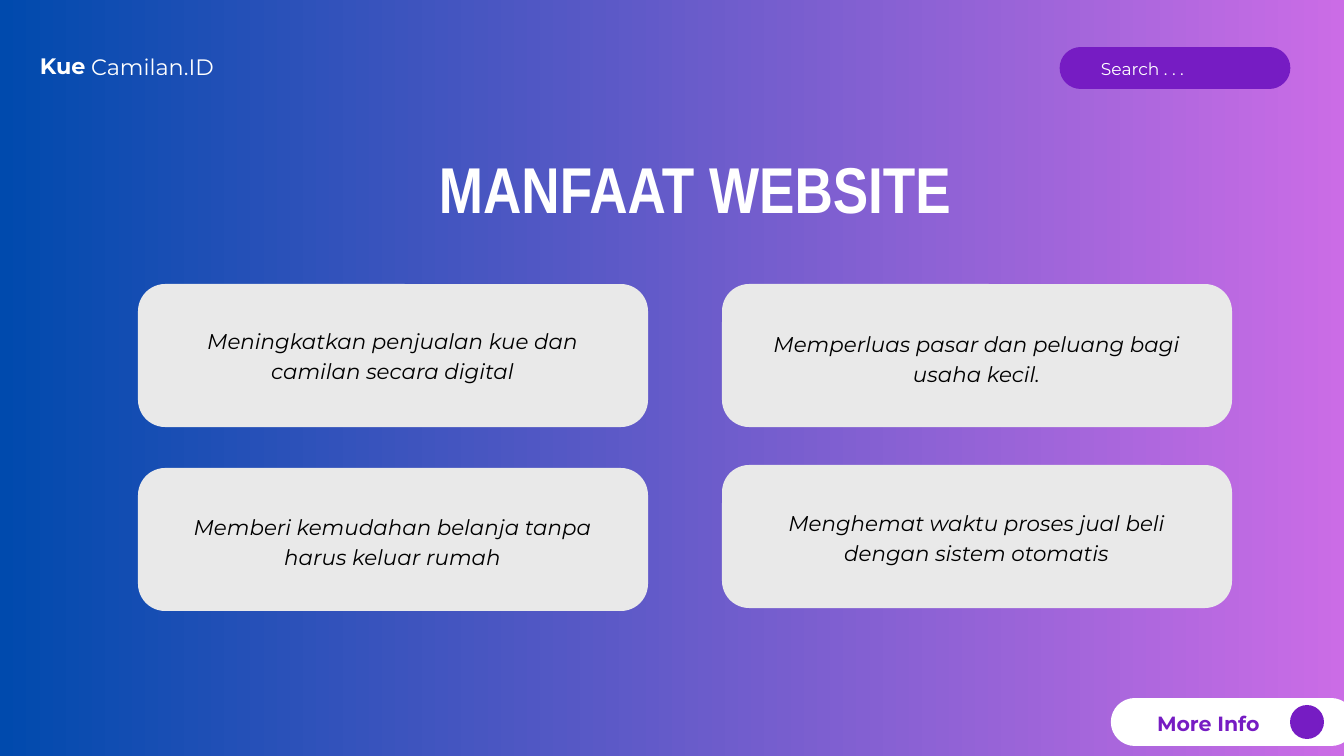
from lxml.etree import SubElement
from pptx import Presentation
from pptx.dml.color import RGBColor
from pptx.enum.shapes import MSO_CONNECTOR, MSO_SHAPE
from pptx.enum.text import MSO_ANCHOR, MSO_AUTO_SIZE, PP_ALIGN
from pptx.oxml.ns import qn
from pptx.util import Emu, Pt

SCALE = 914400 / 67.2
COLOURS = {
    "blue": "004AAD",
    "pink": "CB6CE6",
    "purple": "761CC3",
    "card": "E9E9E9",
    "white": "FFFFFF",
    "black": "000000",
}
LEFT, RIGHT = 138, 722
BENEFITS = [
    (RIGHT, 284, 43, "Memperluas pasar dan peluang bagi usaha kecil."),
    (RIGHT, 465, 41, "Menghemat waktu proses jual beli dengan sistem otomatis"),
    (LEFT, 284, 40, "Meningkatkan penjualan kue dan camilan secara digital"),
    (LEFT, 468, 42, "Memberi kemudahan belanja tanpa harus keluar rumah"),
]


def px(length):
    return Emu(round(length * SCALE))


def colour(name):
    return RGBColor.from_string(COLOURS[name])


def write(holder, text, size, leading, font="Montserrat", ink="white",
          bold=False, italic=False, align=PP_ALIGN.LEFT):
    frame = holder.text_frame
    frame.word_wrap = True
    frame.auto_size = MSO_AUTO_SIZE.NONE
    frame.vertical_anchor = MSO_ANCHOR.TOP
    frame.margin_left = frame.margin_right = 0
    frame.margin_top = frame.margin_bottom = 0
    paragraph = frame.paragraphs[0]
    paragraph.alignment = align
    paragraph.line_spacing = Pt(leading)
    paragraph.space_before = Pt(0)
    run = paragraph.add_run()
    run.text = text
    run.font.name = font
    run.font.size = Pt(size)
    run.font.bold = bold
    run.font.italic = italic
    run.font.color.rgb = colour(ink)


def add_text(slide, left, top, width, height, text, **style):
    box = slide.shapes.add_textbox(px(left), px(top), px(width), px(height))
    write(box, text, **style)


def add_solid(slide, preset, left, top, width, height, fill):
    solid = slide.shapes.add_shape(preset, px(left), px(top), px(width), px(height))
    solid.shadow.inherit = False
    solid.fill.solid()
    solid.fill.fore_color.rgb = colour(fill)
    solid.line.fill.background()
    return solid


def add_pill(slide, left, middle, width, thickness, fill):
    pill = slide.shapes.add_connector(
        MSO_CONNECTOR.STRAIGHT, px(left), px(middle), px(left + width), px(middle))
    pill.line.color.rgb = colour(fill)
    pill.line.width = Pt(thickness)
    pill.line._get_or_add_ln().set("cap", "rnd")
    SubElement(pill._element.spPr, qn("a:effectLst"))


def paint_background(slide):
    fill = slide.background.fill
    fill.gradient()
    fill.gradient_angle = 0
    for stop, name, position in zip(fill.gradient_stops, ("blue", "pink"), (0, 1)):
        stop.color.rgb = colour(name)
        stop.position = position


def add_search(slide, left, top):
    add_pill(slide, left, top + 21, 188, 45.75, "purple")
    add_text(slide, left + 20, top + 11, 140, 20, "Search . . .", size=18.3, leading=21.9)


def add_site_name(slide, left, top):
    add_text(slide, left, top, 98, 60, "Kue", size=23.9, leading=33.5, bold=True)
    add_text(slide, left + 51, top + 1, 152, 29, "Camilan.ID", size=23.9, leading=33.5)


def set_title(slide, left, top, width, height):
    title = slide.shapes.title
    title.left, title.top = px(left), px(top)
    title.width, title.height = px(width), px(height)
    write(title, "MANFAAT WEBSITE", size=69.4, leading=76.3, font="Arial Narrow",
          bold=True, align=PP_ALIGN.CENTER)


def add_benefit(slide, left, top, text_drop, text):
    card = add_solid(slide, MSO_SHAPE.ROUNDED_RECTANGLE, left, top, 510, 143, "card")
    card.adjustments[0] = 0.19
    add_text(slide, left + 28, top + text_drop, 453, 60, text, size=22.9, leading=32,
             ink="black", italic=True, align=PP_ALIGN.CENTER)


def add_more_info(slide, left, top):
    add_pill(slide, left, top + 24, 196, 51.75, "white")
    add_solid(slide, MSO_SHAPE.OVAL, left + 155, top + 7, 34, 34, "purple")
    add_text(slide, left + 22, top + 9, 122, 28, "More Info", size=22, leading=30.8,
             ink="purple", bold=True)


def main():
    deck = Presentation()
    deck.slide_width, deck.slide_height = px(1344), px(756)
    slide = deck.slides.add_slide(deck.slide_layouts.get_by_name("Title Only"))
    paint_background(slide)
    add_search(slide, 1081, 47)
    add_site_name(slide, 40, 48)
    set_title(slide, 343, 155, 704, 73)
    for benefit in BENEFITS:
        add_benefit(slide, *benefit)
    add_more_info(slide, 1135, 698)
    deck.save("out.pptx")


if __name__ == "__main__":
    main()
